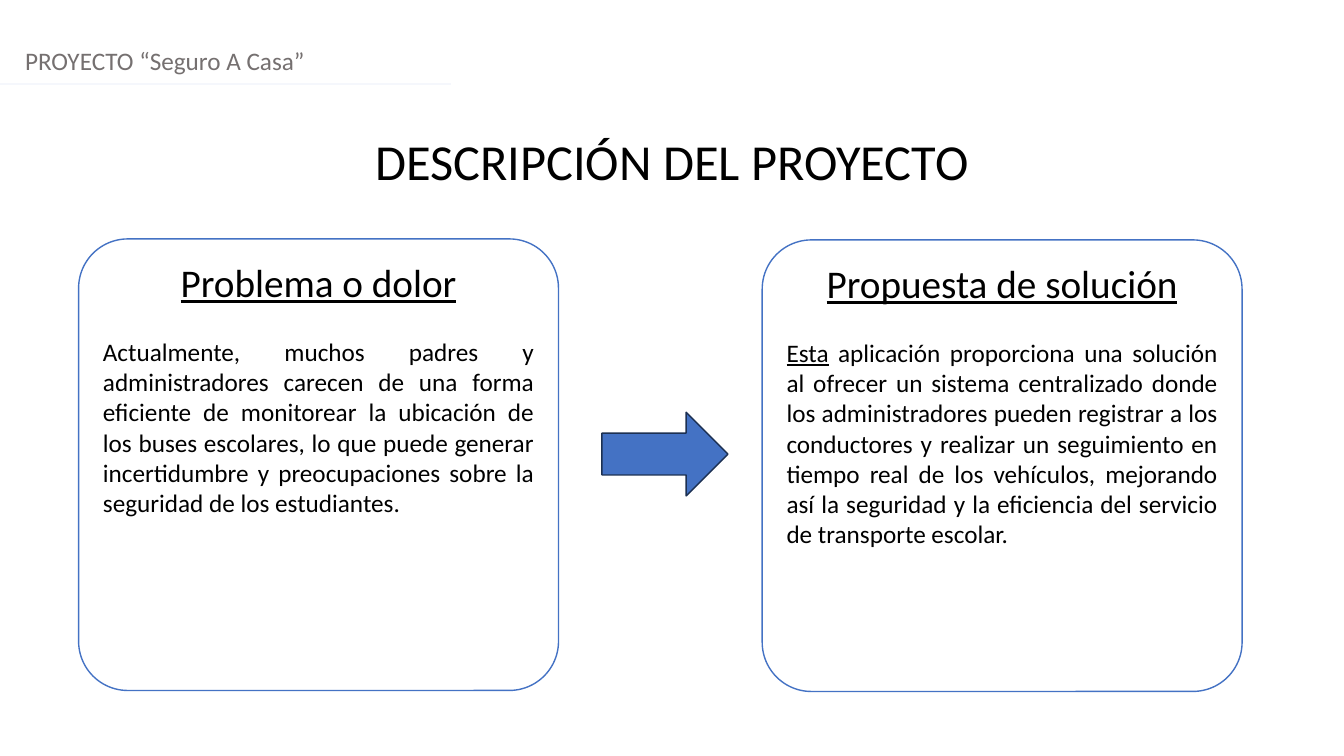
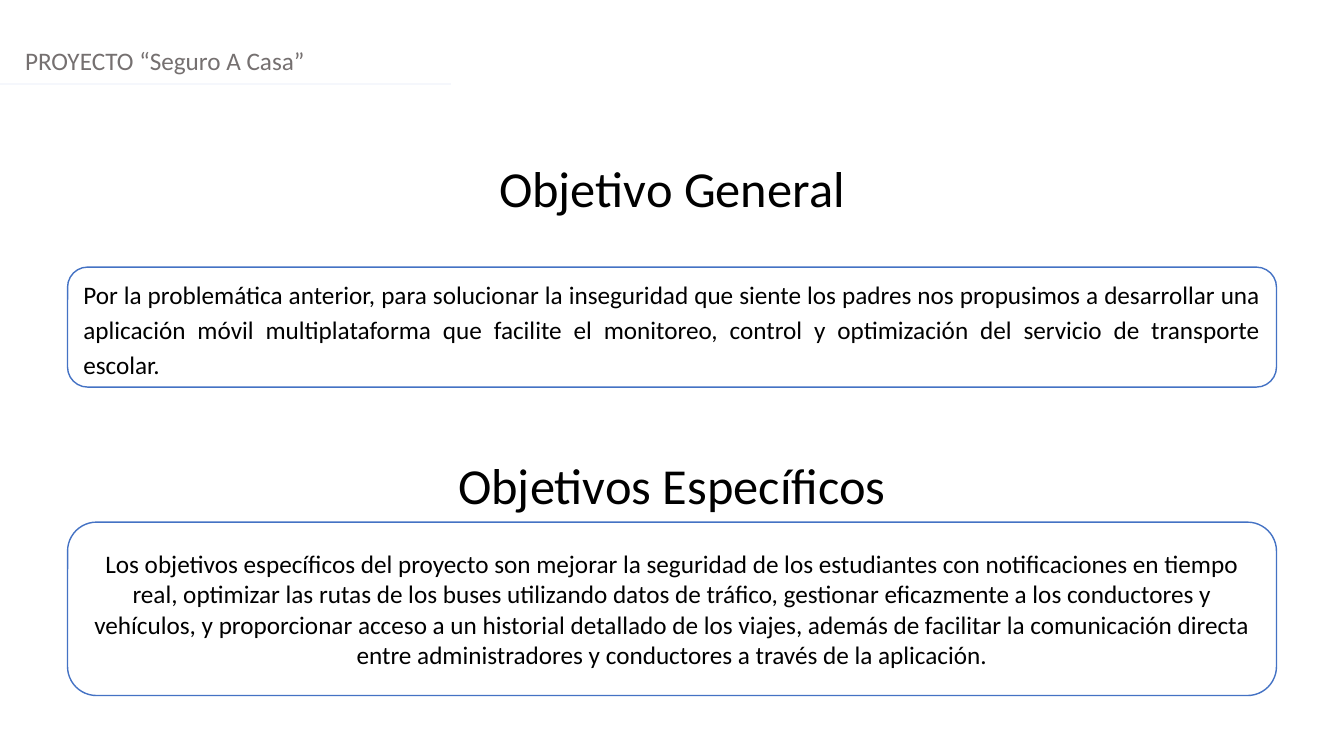
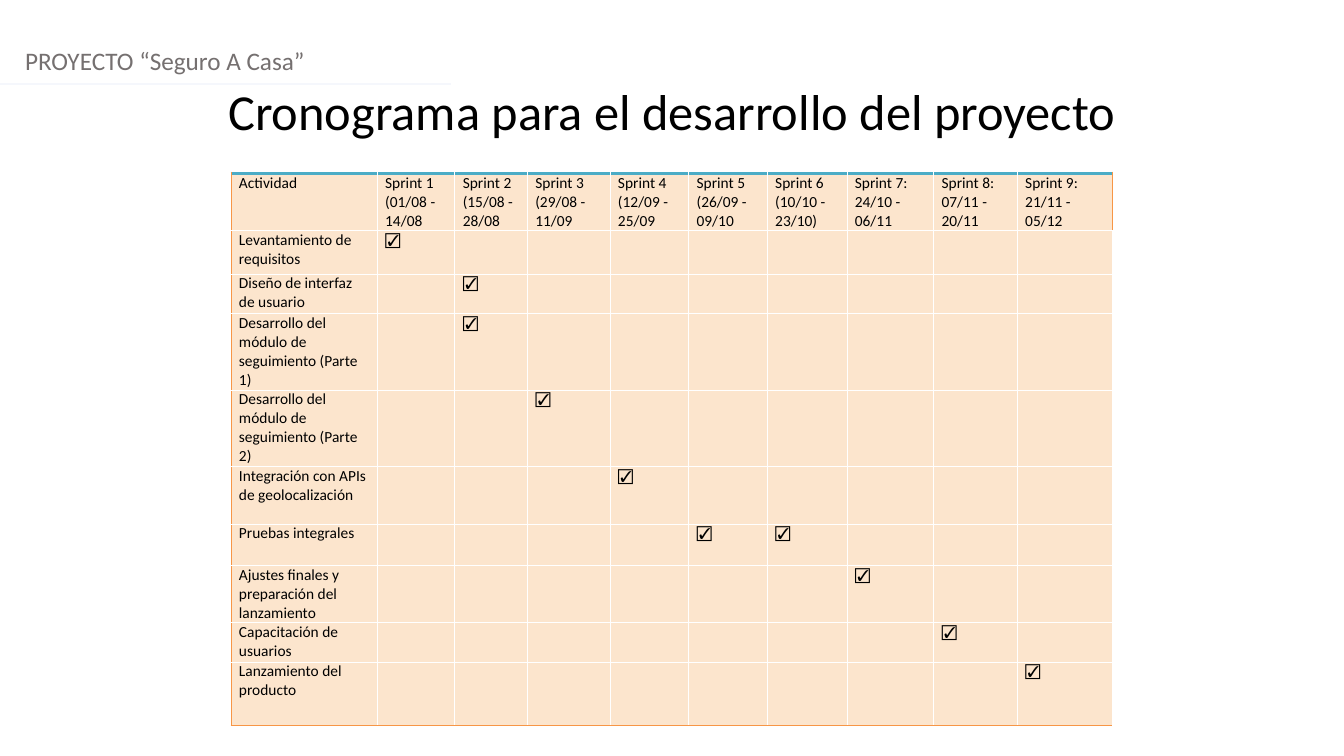
from lxml import etree
from pptx import Presentation
from pptx import util as u
from pptx.dml.color import RGBColor
from pptx.enum import shapes, text
from pptx.oxml.ns import qn

W, H = 13.33, 7.5
FONT = "Calibri"
BLACK, WHITE, GREY, RULE = "000000", "FFFFFF", "757070", "F5F7FC"
BLUE, NAVY, PEACH, ORANGE, TEAL = "4472C4", "1C3052", "FCE5CD", "F79646", "4BACC6"
LEFT, CENTER, JUSTIFY = text.PP_ALIGN.LEFT, text.PP_ALIGN.CENTER, text.PP_ALIGN.JUSTIFY
TOP, MIDDLE = text.MSO_ANCHOR.TOP, text.MSO_ANCHOR.MIDDLE

PROJECT = "PROYECTO “Seguro A Casa”"
CARDS = [
    ((0.78, 2.37), "Problema o dolor", [
        ("Actualmente, muchos padres y administradores carecen de una forma eficiente de "
         "monitorear la ubicación de los buses escolares, lo que puede generar incertidumbre "
         "y preocupaciones sobre la seguridad de los estudiantes.", False)]),
    ((7.56, 2.38), "Propuesta de solución", [
        ("Esta", True),
        (" aplicación proporciona una solución al ofrecer un sistema centralizado donde los "
         "administradores pueden registrar a los conductores y realizar un seguimiento en "
         "tiempo real de los vehículos, mejorando así la seguridad y la eficiencia del "
         "servicio de transporte escolar.", False)]),
]
GENERAL = ("Por la problemática anterior, para solucionar la inseguridad que siente los padres "
           "nos propusimos a desarrollar una aplicación móvil multiplataforma que facilite el "
           "monitoreo, control y optimización del servicio de transporte escolar.")
SPECIFIC = ("Los objetivos específicos del proyecto son mejorar la seguridad de los estudiantes "
            "con notificaciones en tiempo real, optimizar las rutas de los buses utilizando "
            "datos de tráfico, gestionar eficazmente a los conductores y vehículos, y "
            "proporcionar acceso a un historial detallado de los viajes, además de facilitar "
            "la comunicación directa entre administradores y conductores a través de la "
            "aplicación.")
HEADINGS = ["Actividad", "Sprint 1 (01/08 - 14/08", "Sprint 2 (15/08 - 28/08",
            "Sprint 3 (29/08 - 11/09", "Sprint 4 (12/09 - 25/09", "Sprint 5 (26/09 - 09/10",
            "Sprint 6 (10/10 - 23/10)", "Sprint 7: 24/10 - 06/11",
            "Sprint 8: 07/11 - 20/11", "Sprint 9: 21/11 - 05/12"]
ACTIVITIES = [
    ("Levantamiento de requisitos", [1]),
    ("Diseño de interfaz de usuario", [2]),
    ("Desarrollo del módulo de seguimiento (Parte 1)", [2]),
    ("Desarrollo del módulo de seguimiento (Parte 2)", [3]),
    ("Integración con APIs de geolocalización", [4]),
    ("Pruebas integrales", [5, 6]),
    ("Ajustes finales y preparación del lanzamiento", [7]),
    ("Capacitación de usuarios", [8]),
    ("Lanzamiento del producto", [9]),
]
CHECK = "☑️"
COL_WIDTHS = [1.45, 0.77, 0.72, 0.82, 0.78, 0.78, 0.79, 0.86, 0.83, 0.94]
ROW_HEIGHTS = [0.57, 0.43, 0.39, 0.76, 0.76, 0.57, 0.41, 0.57, 0.39, 0.63]


def rgb(color):
    return RGBColor.from_string(color)


def box(*lengths):
    return [u.Inches(v) for v in lengths]


def add_run(p, words, size=18, color=BLACK, underline=None):
    r = p.add_run()
    r.text = words
    r.font.name, r.font.size, r.font.underline = FONT, u.Pt(size), underline
    r.font.color.rgb = rgb(color)


def set_frame(sp, anchor=TOP, align=LEFT):
    tf = sp.text_frame
    tf.word_wrap, tf.auto_size = True, text.MSO_AUTO_SIZE.NONE
    tf.vertical_anchor = anchor
    tf.margin_left = tf.margin_right = u.Inches(0.1)
    tf.margin_top = tf.margin_bottom = u.Inches(0.05)
    p = tf.paragraphs[0]
    p.alignment = align
    return p


def add_text(s, at, words, size, color=BLACK, align=LEFT):
    sp = s.shapes.add_textbox(*box(*at))
    add_run(set_frame(sp, align=align), words, size, color)


def add_slide(prs, title, top):
    s = prs.slides.add_slide(prs.slide_layouts[5])
    add_text(s, (0.15, 0.4, W - 0.15, 0.4), PROJECT, 18, GREY)
    sp = s.shapes.title
    sp.left, sp.top, sp.width, sp.height = box(0, top, W, 0.71)
    add_run(set_frame(sp, align=CENTER), title, 36)
    line = s.shapes.add_connector(shapes.MSO_CONNECTOR.STRAIGHT, *box(0, 0.83, 4.47, 0.83))
    line.line.color.rgb, line.line.width = rgb(RULE), u.Pt(1.25)
    etree.SubElement(line._element.spPr, qn("a:effectLst"))
    return s


def add_figure(s, kind, at, fill, outline):
    sp = s.shapes.add_shape(kind, *box(*at))
    sp.shadow.inherit = False
    sp.fill.solid()
    sp.fill.fore_color.rgb = rgb(fill)
    sp.line.color.rgb, sp.line.width = rgb(outline), u.Pt(1)
    return sp


def add_panel(s, at, corner, anchor, align):
    sp = add_figure(s, shapes.MSO_SHAPE.ROUNDED_RECTANGLE, at, WHITE, BLUE)
    sp.adjustments[0] = corner
    return sp.text_frame, set_frame(sp, anchor, align)


def set_borders(cell, **sides):
    tcPr = cell._tc.get_or_add_tcPr()
    for i, side in enumerate("LRTB"):
        color, width = sides[side]
        ln = etree.Element(qn("a:ln" + side), w=str(u.Pt(width)))
        fill = etree.SubElement(ln, qn("a:solidFill"))
        etree.SubElement(fill, qn("a:srgbClr"), val=color)
        tcPr.insert(i, ln)


def add_schedule(s, left, top):
    rows = [HEADINGS] + [[name] + [CHECK if n in sprints else "" for n in range(1, len(HEADINGS))]
                         for name, sprints in ACTIVITIES]
    last_row, last_col = len(rows) - 1, len(HEADINGS) - 1
    at = box(left, top, sum(COL_WIDTHS), sum(ROW_HEIGHTS))
    table = s.shapes.add_table(len(rows), len(HEADINGS), *at).table
    table.first_row = table.horz_banding = False
    for col, width in zip(table.columns, COL_WIDTHS):
        col.width = u.Inches(width)
    for row, height in zip(table.rows, ROW_HEIGHTS):
        row.height = u.Inches(height)
    inner, outer = (WHITE, 0.5), (ORANGE, 0.5)
    for i, row in enumerate(rows):
        for j, words in enumerate(row):
            cell = table.cell(i, j)
            cell.margin_left = cell.margin_right = u.Inches(0.08)
            cell.margin_top = cell.margin_bottom = 0
            cell.fill.solid()
            cell.fill.fore_color.rgb = rgb(PEACH)
            set_borders(cell, L=inner if j else outer,
                        R=outer if (i, j) == (0, last_col) else inner,
                        T=inner if i else (TEAL, 3),
                        B=outer if i == last_row else inner)
            if words:
                add_run(cell.text_frame.paragraphs[0], words, 11)


def main():
    prs = Presentation()
    prs.slide_width, prs.slide_height = box(W, H)

    s = add_slide(prs, "DESCRIPCIÓN DEL PROYECTO", 1.24)
    for corner, heading, runs in CARDS:
        tf, p = add_panel(s, (*corner, 4.76, 4.48), 0.109, TOP, CENTER)
        add_run(p, heading, 28, underline=True)
        p = tf.add_paragraph()
        p.alignment, p.space_before = JUSTIFY, u.Pt(22)
        for words, underline in runs:
            add_run(p, words, underline=underline)
    add_figure(s, shapes.MSO_SHAPE.RIGHT_ARROW, (5.97, 4.09, 1.25, 0.83), BLUE, NAVY)

    s = add_slide(prs, "Objetivo General", 1.51)
    add_text(s, (0, 4.46, W, 0.71), "Objetivos Específicos", 36, align=CENTER)
    tf, p = add_panel(s, (0.67, 2.65, 11.99, 1.19), 0.167, MIDDLE, JUSTIFY)
    p.line_spacing, p.space_before, p.space_after = 1.15, u.Pt(12), u.Pt(12)
    add_run(p, GENERAL)
    tf, p = add_panel(s, (0.67, 5.18, 11.99, 1.72), 0.167, MIDDLE, CENTER)
    add_run(p, SPECIFIC)

    s = add_slide(prs, "Cronograma para el desarrollo del proyecto", 0.74)
    add_schedule(s, 2.29, 1.72)

    prs.save("out.pptx")


if __name__ == "__main__":
    main()
